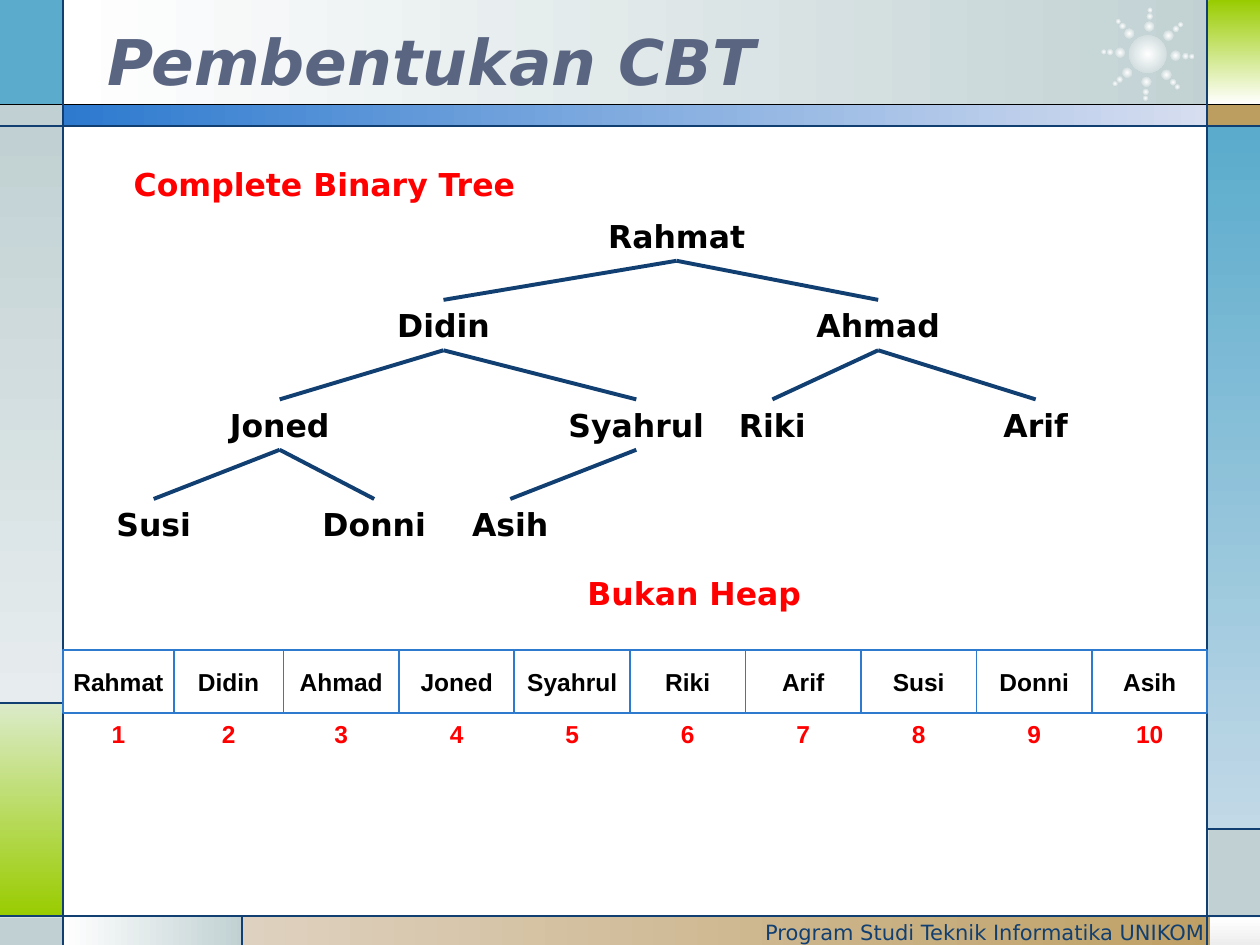
from math import cos, radians, sin

from lxml import etree
from pptx import Presentation
from pptx.dml.color import RGBColor
from pptx.enum.shapes import MSO_CONNECTOR, MSO_SHAPE
from pptx.enum.text import MSO_ANCHOR, MSO_AUTO_SIZE, PP_ALIGN
from pptx.oxml.ns import qn
from pptx.util import Inches, Pt

RECTANGLE, OVAL = MSO_SHAPE.RECTANGLE, MSO_SHAPE.OVAL
STRAIGHT = MSO_CONNECTOR.STRAIGHT
LEFT, CENTER, RIGHT = PP_ALIGN.LEFT, PP_ALIGN.CENTER, PP_ALIGN.RIGHT
TOP, MIDDLE = MSO_ANCHOR.TOP, MSO_ANCHOR.MIDDLE
NO_AUTOFIT = MSO_AUTO_SIZE.NONE

COLORS = {
    "white": "FFFFFF", "black": "000000", "red": "FF0000", "navy": "113F71",
    "blue": "2D7ACF", "pale blue": "D7DEF0", "sky": "5AABCC", "pale sky": "C2D9E7",
    "gray": "C1D1D3", "pale gray": "E7EDEE", "mist": "EDEDED",
    "green": "99CC00", "pale green": "DBEBC9",
    "tan": "BD9E61", "pale tan": "DED1BF", "slate": "5A6581",
}
TREE_FONT, ARRAY_FONT = "DejaVu Sans", "Arial"

TITLE = "Pembentukan CBT"
FOOTER = "Program Studi Teknik Informatika UNIKOM"
CAPTIONS = [
    ("Complete Binary Tree", 0.25, 1.26, 4.65),
    ("Bukan Heap", 4.35, 4.51, 2.32),
]
NODES = [
    ("Rahmat", 5.37), ("Didin", 3.52), ("Ahmad", 6.97), ("Joned", 2.22),
    ("Syahrul", 5.05), ("Riki", 6.13), ("Arif", 8.22), ("Susi", 1.22),
    ("Donni", 2.97), ("Asih", 4.05),
]
LEVEL_TOPS = [1.67, 2.38, 3.17, 3.96]
NODE_WIDTH, NODE_HEIGHT = 1.43, 0.4

ARRAY_TOP, CELL_HEIGHT = 5.16, 0.5
CELL_WIDTHS = [0.88, 0.87] + [11 / 12] * 8

PANELS = [
    (0.5, 0, 9.27, 0.84, ("white", "gray"), 0),
    (0, 0, 0.5, 0.84, ("sky",), 0),
    (0, 0.83, 0.5, 0.17, ("gray",), 0),
    (0, 1, 0.5, 4.58, ("gray", "pale gray"), 270),
    (0, 5.58, 0.5, 1.69, ("pale green", "green"), 270),
    (0, 7.28, 0.5, 0.22, ("gray",), 0),
    (0.5, 7.27, 1.43, 0.23, ("white", "gray"), 0),
    (1.92, 7.27, 8.08, 0.23, ("pale tan", "tan"), 0),
    (9.6, 7.28, 0.4, 0.22, ("white", "mist"), 270),
    (9.59, 6.58, 0.41, 0.7, ("gray",), 0),
    (9.58, 1, 0.42, 5.58, ("sky", "pale sky"), 270),
    (9.58, 0.83, 0.42, 0.17, ("tan",), 0),
    (9.59, 0, 0.41, 0.83, ("green", "white"), 270),
    (0.5, 0.83, 9.09, 0.17, ("blue", "pale blue"), 0),
]
RULES = [
    (0, 0.83, 10, 0.83, "black"), (0, 1, 10, 1, "navy"),
    (0, 7.27, 10, 7.27, "navy"), (0.5, 0, 0.5, 7.5, "navy"),
    (9.58, 0, 9.58, 7.5, "navy"), (0.5, 5.58, 0, 5.58, "navy"),
    (1.92, 7.27, 1.92, 7.5, "navy"), (9.58, 6.58, 10, 6.58, "navy"),
]
BURST_X, BURST_Y, BURST_CORE = 9.11, 0.43, 0.3
BURST_RAYS = 8
BURST_DOTS = [(0.22, 0.08), (0.3, 0.05), (0.35, 0.04)]


def color(name):
    return RGBColor.from_string(COLORS[name])


def add_panel(slide, kind, left, top, width, height, fills, angle=0):
    panel = slide.shapes.add_shape(
        kind, Inches(left), Inches(top), Inches(width), Inches(height))
    panel.shadow.inherit = False
    panel.line.fill.background()
    if len(fills) == 1:
        panel.fill.solid()
        panel.fill.fore_color.rgb = color(fills[0])
    else:
        panel.fill.gradient()
        panel.fill.gradient_angle = angle
        for stop, name in zip(panel.fill.gradient_stops, fills):
            stop.color.rgb = color(name)
    return panel


def add_dot(slide, x, y, size):
    dot = add_panel(slide, OVAL, x - size / 2, y - size / 2, size, size,
                    ("white", "gray"))
    gradient = dot._element.spPr.find(qn("a:gradFill"))
    gradient.remove(gradient.find(qn("a:lin")))
    radial = etree.SubElement(gradient, qn("a:path"), {"path": "circle"})
    etree.SubElement(radial, qn("a:fillToRect"),
                     {side: "50000" for side in "ltrb"})


def add_rule(slide, x1, y1, x2, y2, name, width=0.75):
    rule = slide.shapes.add_connector(
        STRAIGHT, Inches(x1), Inches(y1), Inches(x2), Inches(y2))
    rule.line.color.rgb = color(name)
    rule.line.width = Pt(width)
    etree.SubElement(rule._element.spPr, qn("a:effectLst"))


def write(shape, text, size, name, font=TREE_FONT, align=CENTER, anchor=TOP,
          bold=True, italic=False):
    frame = shape.text_frame
    frame.word_wrap = True
    frame.auto_size = NO_AUTOFIT
    frame.vertical_anchor = anchor
    para = frame.paragraphs[0]
    para.alignment = align
    span = para.add_run()
    span.text = text
    span.font.name = font
    span.font.size = Pt(size)
    span.font.bold = bold
    span.font.italic = italic
    span.font.color.rgb = color(name)


def add_label(slide, left, top, width, height, *content, **style):
    box = slide.shapes.add_textbox(
        Inches(left), Inches(top), Inches(width), Inches(height))
    write(box, *content, **style)


def add_backdrop(slide):
    for left, top, width, height, fills, angle in PANELS:
        add_panel(slide, RECTANGLE, left, top, width, height, fills, angle)
    add_dot(slide, BURST_X, BURST_Y, BURST_CORE)
    for ray in range(BURST_RAYS):
        angle = radians(ray * 360 / BURST_RAYS + 3)
        for radius, size in BURST_DOTS:
            add_dot(slide, BURST_X + radius * cos(angle),
                    BURST_Y + radius * sin(angle), size)
    for rule in RULES:
        add_rule(slide, *rule)
    add_label(slide, 5.58, 7.25, 4.08, 0.25, FOOTER, 12, "navy",
              align=RIGHT, bold=False)


def add_title(slide):
    title = slide.shapes.title
    title.left, title.top = Inches(0.75), Inches(0.17)
    title.width, title.height = Inches(9), Inches(0.62)
    write(title, TITLE, 36, "slate", align=LEFT, anchor=MIDDLE, italic=True)
    title._element.getparent().append(title._element)


def add_tree(slide):
    for index, (name, x) in enumerate(NODES):
        level = (index + 1).bit_length() - 1
        top = LEVEL_TOPS[level]
        if level:
            parent_x = NODES[(index - 1) // 2][1]
            parent_bottom = LEVEL_TOPS[level - 1] + NODE_HEIGHT
            add_rule(slide, parent_x, parent_bottom, x, top, "navy", 2.25)
        add_label(slide, x - NODE_WIDTH / 2, top, NODE_WIDTH, NODE_HEIGHT,
                  name, 18, "black")
    for text, left, top, width in CAPTIONS:
        add_label(slide, left, top, width, NODE_HEIGHT, text, 18, "red")


def add_array(slide):
    left = 0.5
    for number, ((name, _), width) in enumerate(zip(NODES, CELL_WIDTHS), 1):
        cell = add_panel(slide, RECTANGLE, left, ARRAY_TOP, width, CELL_HEIGHT,
                         ("white",))
        cell.line.color.rgb = color("blue")
        cell.line.width = Pt(1)
        cell.text_frame.margin_left = cell.text_frame.margin_right = 0
        write(cell, name, 14, "black", font=ARRAY_FONT, anchor=MIDDLE)
        add_label(slide, left + width / 2 - 0.25, ARRAY_TOP + CELL_HEIGHT,
                  0.5, 0.33, str(number), 14, "red", font=ARRAY_FONT)
        left += width


def main():
    deck = Presentation()
    deck.slide_width, deck.slide_height = Inches(10), Inches(7.5)
    slide = deck.slides.add_slide(deck.slide_layouts[5])
    add_backdrop(slide)
    add_title(slide)
    add_tree(slide)
    add_array(slide)
    deck.save("out.pptx")


if __name__ == "__main__":
    main()
